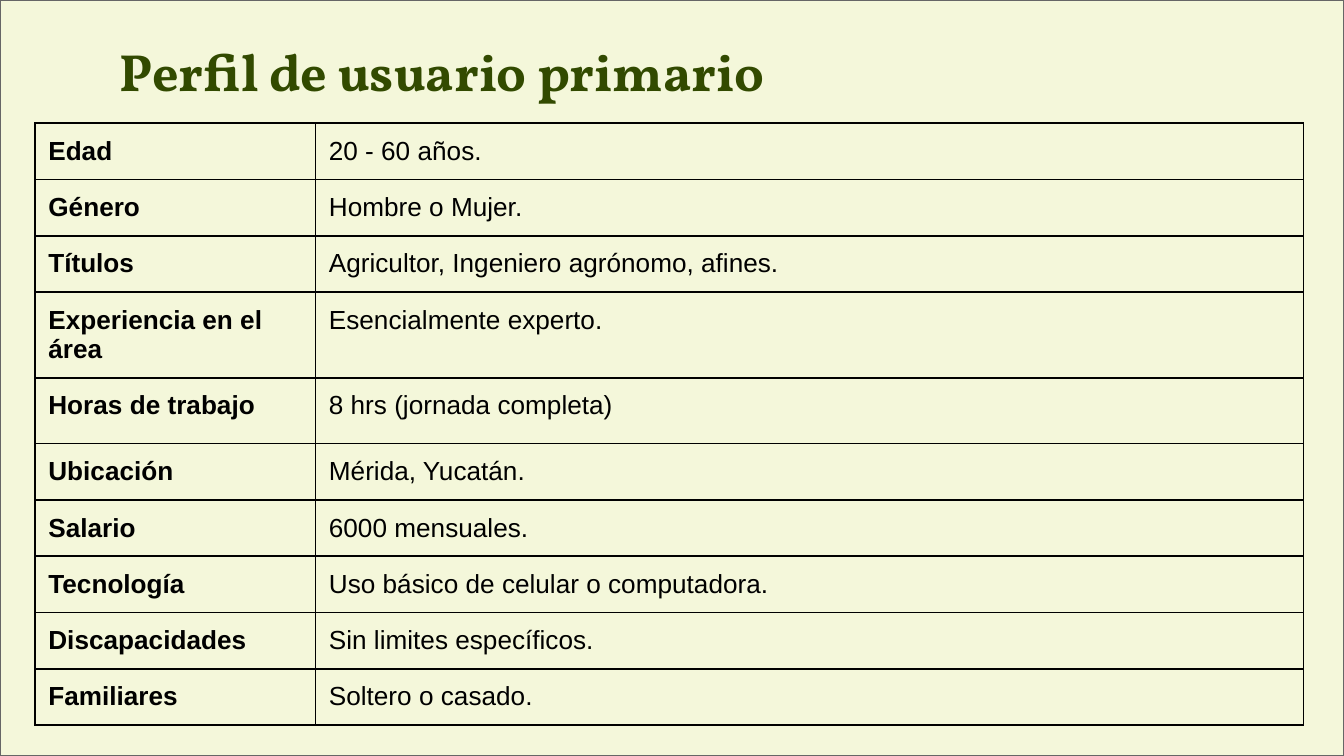
from lxml import etree
from pptx import Presentation
from pptx.dml.color import RGBColor
from pptx.enum import shapes, text
from pptx.oxml import ns
from pptx.util import Pt

COLORS = {"paper": "F4F7DA", "frame": "666666", "heading": "324A00", "ink": "000000"}
PADDING = Pt(7.2)
ROW_HEIGHT = 29.7
TALL_ROWS = {"Experiencia en el área": 45.5, "Horas de trabajo": 35.3}
PROFILE = [
    ("Edad", "20 - 60 años."),
    ("Género", "Hombre o Mujer."),
    ("Títulos", "Agricultor, Ingeniero agrónomo, afines."),
    ("Experiencia en el área", "Esencialmente experto."),
    ("Horas de trabajo", "8 hrs (jornada completa)"),
    ("Ubicación", "Mérida, Yucatán."),
    ("Salario", "6000 mensuales."),
    ("Tecnología", "Uso básico de celular o computadora."),
    ("Discapacidades", "Sin limites específicos."),
    ("Familiares", "Soltero o casado."),
]


def write(frame, words, size=14, font="Arial", color="ink", bold=False):
    frame.margin_left = frame.margin_right = PADDING
    frame.margin_top = frame.margin_bottom = PADDING
    frame.word_wrap = True
    paragraph = frame.paragraphs[0]
    paragraph.alignment = text.PP_ALIGN.LEFT
    run = paragraph.add_run()
    run.text = words
    run.font.size = Pt(size)
    run.font.name = font
    run.font.bold = bold
    run.font.color.rgb = RGBColor.from_string(COLORS[color])


def add_borders(cell, width=1):
    properties = cell._tc.get_or_add_tcPr()
    for position, side in enumerate(("lnL", "lnR", "lnT", "lnB")):
        line = etree.Element(ns.qn(f"a:{side}"), w=str(Pt(width)))
        fill = etree.SubElement(line, ns.qn("a:solidFill"))
        etree.SubElement(fill, ns.qn("a:srgbClr"), val=COLORS["ink"])
        properties.insert(position, line)


prs = Presentation()
prs.slide_width, prs.slide_height = Pt(720), Pt(405)
slide = prs.slides.add_slide(prs.slide_layouts[5])

backdrop = slide.shapes.add_shape(shapes.MSO_SHAPE.RECTANGLE, 0, 0, Pt(720), Pt(405))
backdrop.shadow.inherit = False
backdrop.fill.solid()
backdrop.fill.fore_color.rgb = RGBColor.from_string(COLORS["paper"])
backdrop.line.color.rgb = RGBColor.from_string(COLORS["frame"])
backdrop.line.width = Pt(0.75)
slide.shapes._spTree.insert(2, backdrop._element)

title = slide.shapes.title
title.left, title.top, title.width, title.height = Pt(57), Pt(13.7), Pt(507.6), Pt(46.8)
write(title.text_frame, "Perfil de usuario primario", size=28, font="Vollkorn",
      color="heading", bold=True)
title.text_frame.vertical_anchor = text.MSO_ANCHOR.TOP
title.text_frame.auto_size = text.MSO_AUTO_SIZE.NONE

heights = [TALL_ROWS.get(label, ROW_HEIGHT) for label, _ in PROFILE]
profile = slide.shapes.add_table(len(PROFILE), 2, Pt(18.7), Pt(66), Pt(679.5),
                                 Pt(sum(heights))).table
profile.first_row = profile.horz_banding = False
profile.columns[0].width, profile.columns[1].width = Pt(150.3), Pt(529.2)

for row, height, entry in zip(profile.rows, heights, PROFILE):
    row.height = Pt(height)
    for column, words in enumerate(entry):
        cell = row.cells[column]
        cell.margin_left = cell.margin_right = PADDING
        cell.margin_top = cell.margin_bottom = PADDING
        cell.fill.background()
        add_borders(cell)
        write(cell.text_frame, words, bold=column == 0)

prs.save("out.pptx")
